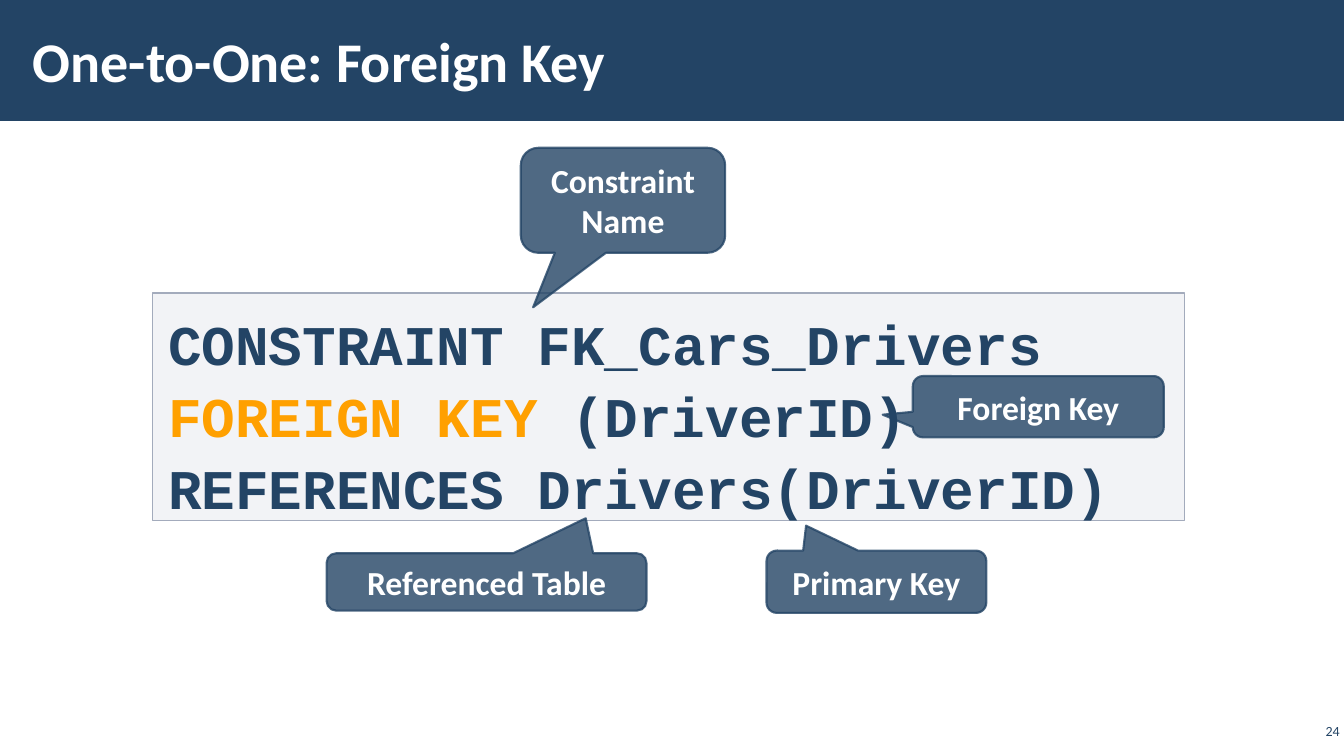
from lxml.etree import SubElement
from pptx import Presentation
from pptx.dml.color import RGBColor as RGB
from pptx.enum.shapes import MSO_SHAPE as SHAPE
from pptx.enum.text import MSO_ANCHOR as ANCHOR, PP_ALIGN as ALIGN
from pptx.oxml.ns import qn
from pptx.util import Pt

COLORS = {"navy": "234465", "orange": "FFA000", "white": "FFFFFF",
          "code": "C2C7D2", "edge": "A3ABBC"}


def paint(fill, color, alpha=100):
    """Make a fill solid, with alpha as its opacity in percent."""
    fill.solid()
    fill.fore_color.rgb = RGB.from_string(COLORS[color])
    if alpha < 100:
        tint = fill._xPr.find(qn("a:solidFill"))[0]
        SubElement(tint, qn("a:alpha")).set("val", str(alpha * 1000))


def style(para, size, color, bold=True, name="Calibri"):
    for run in para.runs:
        font = run.font
        font.size, font.bold, font.name = Pt(size), bold, name
        font.color.rgb = RGB.from_string(COLORS[color])


prs = Presentation()
prs.slide_width, prs.slide_height = Pt(960), Pt(540)
slide = prs.slides.add_slide(prs.slide_layouts[5])
shapes = slide.shapes

# Header band, behind the title
band = shapes.add_shape(SHAPE.RECTANGLE, 0, 0, Pt(960), Pt(86.4))
band.shadow.inherit = False
paint(band.fill, "navy")
band.line.fill.background()
shapes.element.insert(2, band.element)

title = shapes.title
title.left, title.top, title.width, title.height = Pt(15), Pt(8), Pt(749), Pt(70)
frame = title.text_frame
frame.text = "One-to-One: Foreign Key"
frame.vertical_anchor = ANCHOR.MIDDLE
frame.margin_left = frame.margin_right = Pt(8.5)
frame.margin_top = frame.margin_bottom = Pt(3)
frame.paragraphs[0].alignment = ALIGN.LEFT
style(frame.paragraphs[0], 40, "white")

# Code box
code = shapes.add_shape(SHAPE.RECTANGLE, Pt(108.8), Pt(209.4), Pt(737.2), Pt(162.6))
code.shadow.inherit = False
paint(code.fill, "code", 20)
paint(code.line.fill, "edge")
code.line.width = Pt(1)
frame = code.text_frame
frame.word_wrap = True
frame.vertical_anchor = ANCHOR.TOP
frame.margin_left = frame.margin_right = Pt(11.4)
frame.margin_top = frame.margin_bottom = Pt(8.5)
frame.text = ("CONSTRAINT FK_Cars_Drivers\n"
              "FOREIGN KEY \n"
              "REFERENCES Drivers(DriverID)")
for para in frame.paragraphs:
    para.alignment = ALIGN.LEFT
    para.line_spacing = 1.07
frame.paragraphs[1].add_run().text = "(DriverID)"
for para in frame.paragraphs:
    style(para, 40, "navy", name="Courier New")
word = frame.paragraphs[1].runs[0]
word.font.color.rgb = RGB.from_string(COLORS["orange"])

# Page number
page = shapes.add_textbox(Pt(926), Pt(514), Pt(34), Pt(16))
frame = page.text_frame
frame.word_wrap = True
frame.vertical_anchor = ANCHOR.MIDDLE
frame.margin_left = frame.margin_right = Pt(3)
frame.margin_top = frame.margin_bottom = Pt(3)
frame.text = "24"
frame.paragraphs[0].alignment = ALIGN.RIGHT
style(frame.paragraphs[0], 10, "navy", bold=False)

# Callouts: text, left, top, width, height, tip across, tip down
CALLS = [
    ("Primary Key", 547.5, 393.3, 157, 44.5, -0.32, -0.9),
    ("Foreign Key", 652, 268.6, 179.3, 43.8, -0.62, 0.13),
    ("Constraint Name", 372, 105.6, 146, 75, -0.44, 1.02),
    ("Referenced Table", 233.3, 395.2, 228.5, 41, 0.31, -1.11),
]
for text, left, top, width, height, across, down in CALLS:
    call = shapes.add_shape(SHAPE.ROUNDED_RECTANGULAR_CALLOUT,
                            Pt(left), Pt(top), Pt(width), Pt(height))
    call.shadow.inherit = False
    call.adjustments[0], call.adjustments[1] = across, down
    paint(call.fill, "navy", 80)
    paint(call.line.fill, "navy", 80)
    call.line.width = Pt(1.5)
    frame = call.text_frame
    frame.word_wrap = True
    frame.vertical_anchor = ANCHOR.MIDDLE
    frame.text = text
    frame.paragraphs[0].alignment = ALIGN.CENTER
    style(frame.paragraphs[0], 24, "white")

prs.save("out.pptx")
